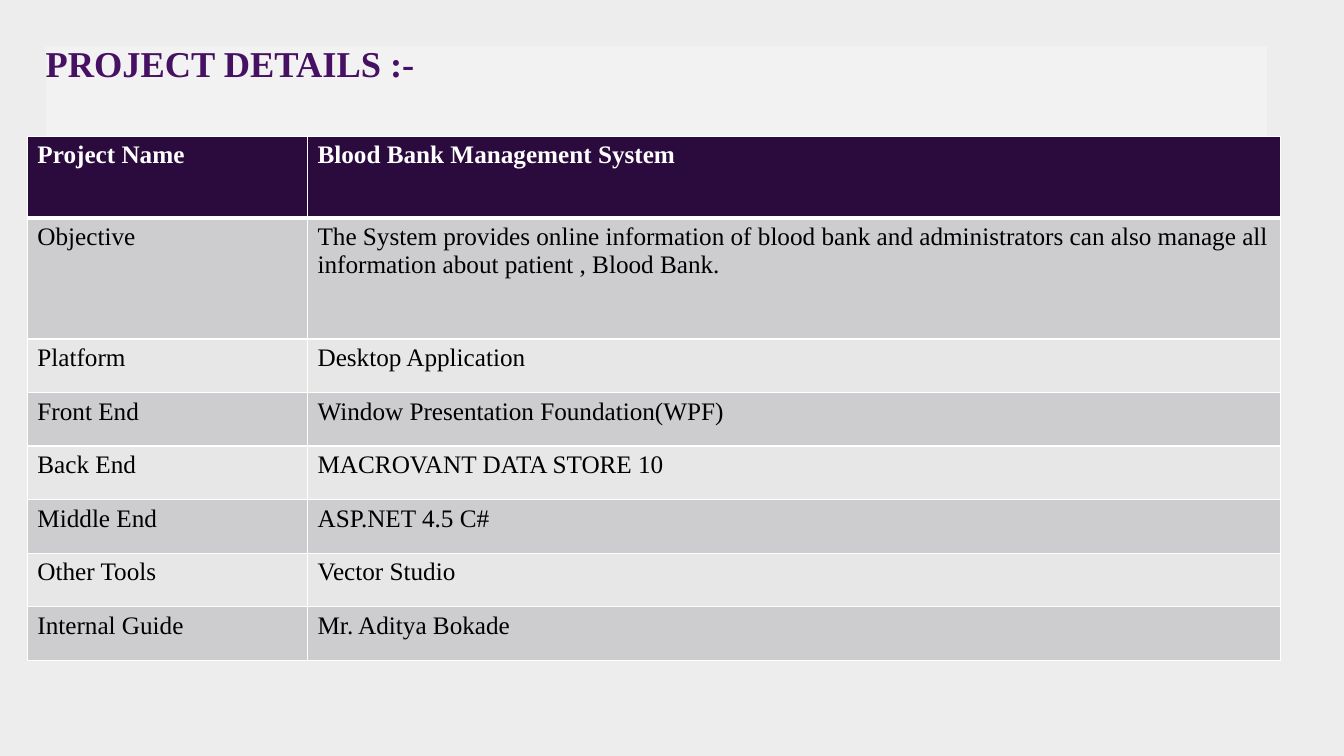
from pptx import Presentation
from pptx.dml.color import RGBColor
from pptx.enum.shapes import MSO_SHAPE as Preset
from pptx.enum.text import MSO_ANCHOR as Anchor, PP_ALIGN as Align
from pptx.oxml import parse_xml
from pptx.oxml.ns import nsdecls
from pptx.util import Cm, Pt

FONT = "Times New Roman"
WHITE = RGBColor(0xFF, 0xFF, 0xFF)
BLACK = RGBColor(0x00, 0x00, 0x00)
BACK = RGBColor(0xED, 0xED, 0xED)
PANEL = RGBColor(0xF2, 0xF2, 0xF2)
PURPLE = RGBColor(0x46, 0x10, 0x63)
DARK = RGBColor(0x2B, 0x0A, 0x3D)
BANDS = (RGBColor(0xCD, 0xCC, 0xCE), RGBColor(0xE8, 0xE7, 0xE8))

WIDTH, HEIGHT = Cm(33.87), Cm(19.05)
COLS = (7.06, 24.51)
TALL = (2.06, 3.05)
LOW = 1.35
DETAILS = (
    ("Project Name", "Blood Bank Management System"),
    ("Objective", "The System provides online information of blood bank and "
     "administrators can also manage all information about patient , Blood Bank."),
    ("Platform", "Desktop Application"),
    ("Front End", "Window Presentation Foundation(WPF)"),
    ("Back End", "MACROVANT DATA STORE 10"),
    ("Middle End", "ASP.NET 4.5 C#"),
    ("Other Tools", "Vector Studio"),
    ("Internal Guide", "Mr. Aditya Bokade"),
)


def write(frame, text, size, color, bold):
    """Put one styled line of text in a frame."""
    frame.text = text
    font = frame.paragraphs[0].runs[0].font
    font.name, font.size, font.bold = FONT, Pt(size), bold
    font.color.rgb = color


def add_rect(slide, left, top, width, height, color):
    """Add a plain filled rectangle."""
    rect = slide.shapes.add_shape(Preset.RECTANGLE, left, top, width, height)
    rect.shadow.inherit = False
    rect.fill.solid()
    rect.fill.fore_color.rgb = color
    rect.line.fill.background()
    return rect


def add_title(slide, text):
    """Add the title on its pale panel."""
    panel = add_rect(slide, Cm(1.15), Cm(1.17), Cm(30.78), Cm(2.39), PANEL)
    frame = panel.text_frame
    frame.word_wrap = True
    frame.vertical_anchor = Anchor.TOP
    frame.margin_left = frame.margin_right = 0
    frame.margin_top = frame.margin_bottom = 0
    write(frame, text, 26, PURPLE, True)
    line = frame.paragraphs[0]
    line.alignment = Align.LEFT
    line.line_spacing = 0.9


def add_edges(cell, top, bottom):
    """Draw white borders with the given top and bottom weights."""
    props = cell._tc.get_or_add_tcPr()
    for side, weight in (("L", 1), ("R", 1), ("T", top), ("B", bottom)):
        props.append(parse_xml(
            f'<a:ln{side} {nsdecls("a")} w="{Pt(weight)}"><a:solidFill>'
            f'<a:srgbClr val="{WHITE}"/></a:solidFill></a:ln{side}>'))


def style_cell(cell, text, row):
    """Fill, border and write a cell according to its row."""
    head = row == 0
    add_edges(cell, 3 if row == 1 else 1, 3 if head else 1)
    cell.fill.solid()
    cell.fill.fore_color.rgb = DARK if head else BANDS[(row - 1) % 2]
    write(cell.text_frame, text, 18, WHITE if head else BLACK, head)


def add_grid(slide, details):
    """Add the table of project details."""
    sizes = TALL + (LOW,) * (len(details) - len(TALL))
    table = slide.shapes.add_table(
        len(details), len(COLS), Cm(0.69), Cm(3.43),
        Cm(sum(COLS)), Cm(sum(sizes))).table
    for col, width in zip(table.columns, COLS):
        col.width = Cm(width)
    for row, (size, texts) in enumerate(zip(sizes, details)):
        table.rows[row].height = Cm(size)
        for col, text in enumerate(texts):
            style_cell(table.cell(row, col), text, row)


def main():
    """Build and save the slide."""
    deck = Presentation()
    deck.slide_width, deck.slide_height = WIDTH, HEIGHT
    slide = deck.slides.add_slide(deck.slide_layouts[6])
    add_rect(slide, 0, 0, WIDTH, HEIGHT, BACK)
    add_title(slide, "PROJECT DETAILS :-")
    add_grid(slide, DETAILS)
    deck.save("out.pptx")


if __name__ == "__main__":
    main()
